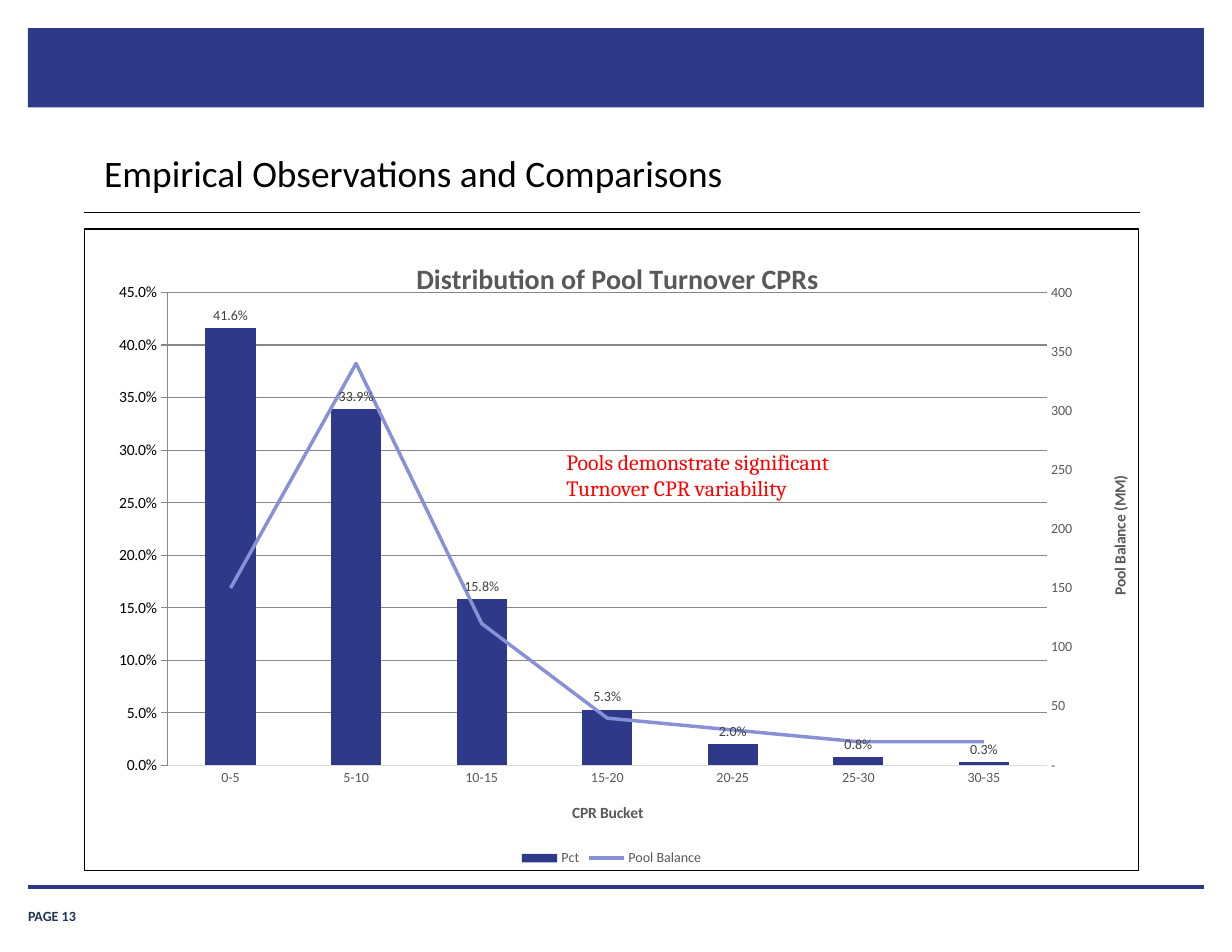
import pptx
import pptx.chart.axis
import pptx.chart.data
import pptx.dml.color
import pptx.enum.chart
import pptx.enum.shapes
import pptx.enum.text
import pptx.oxml
import pptx.oxml.ns
import pptx.util
from lxml import etree

Inches, Pt = pptx.util.Inches, pptx.util.Pt
qn, enums = pptx.oxml.ns.qn, pptx.enum.chart

COLORS = {
    "navy": "2E398A", "rule": "2B3689", "page": "203353", "balance": "8891D5",
    "grey": "595959", "label": "404040", "grid": "D9D9D9",
    "black": "000000", "white": "FFFFFF", "red": "FF0000",
}
BUCKETS = ["0-5", "5-10", "10-15", "15-20", "20-25", "25-30", "30-35"]
PERCENT = [0.416, 0.339, 0.158, 0.053, 0.02, 0.008, 0.003]
BALANCE = [150, 340, 120, 40, 30, 20, 20]
PLOT_AREA = {"x": 0.079, "y": 0.099, "w": 0.834, "h": 0.737}

# text, left, top, width, height, insets (x, y), size, font, colour, bold, anchor
TEXTS = [
    ("PAGE 13", 0.25, 8.02, 0.91, 0.23, (0, 0), 9, "Calibri", "page", True, "BOTTOM"),
    ("Empirical Observations and Comparisons", 0.82, 1.28, 9.35, 0.48,
     (0.11, 0.06), 24, "Calibri", "black", False, "TOP"),
    ("Pools demonstrate significant Turnover CPR variability", 4.4, 3.96, 3.24, 0.57,
     (0.1, 0.05), 14, "Cambria", "red", False, "TOP"),
]
# left, right, y, colour, weight
RULES = [(0.25, 10.75, 7.92, "rule", 2), (0.75, 10.18, 1.9, "black", 0.75)]

NS = ('xmlns:c="http://schemas.openxmlformats.org/drawingml/2006/chart" '
      'xmlns:a="http://schemas.openxmlformats.org/drawingml/2006/main"')
LINE_PLOT = f"""<c:lineChart {NS}><c:grouping val="standard"/><c:varyColors val="0"/>
<c:marker val="1"/><c:axId val="5003"/><c:axId val="5004"/></c:lineChart>"""
RIGHT_AXIS = f"""<c:valAx {NS}><c:axId val="5004"/>
<c:scaling><c:orientation val="minMax"/></c:scaling><c:delete val="0"/>
<c:axPos val="r"/><c:majorTickMark val="none"/><c:minorTickMark val="none"/>
<c:tickLblPos val="nextTo"/><c:crossAx val="5003"/><c:crosses val="max"/></c:valAx>"""
HIDDEN_AXIS = f"""<c:catAx {NS}><c:axId val="5003"/>
<c:scaling><c:orientation val="minMax"/></c:scaling><c:delete val="1"/>
<c:axPos val="b"/><c:crossAx val="5004"/><c:crosses val="autoZero"/></c:catAx>"""
FRAME = f"""<c:spPr {NS}><a:solidFill><a:srgbClr val="{COLORS['white']}"/></a:solidFill>
<a:ln w="{Pt(0.75)}"><a:solidFill><a:srgbClr val="{COLORS['black']}"/></a:solidFill></a:ln>
</c:spPr>"""


def rgb(name):
    return pptx.dml.color.RGBColor.from_string(COLORS[name])


def set_font(font, size, color, bold=False, face="Calibri"):
    font.size, font.bold, font.name = Pt(size), bold, face
    font.color.rgb = rgb(color)


def set_line(line, color, weight):
    line.color.rgb = rgb(color)
    line.width = Pt(weight)


def add_text(page, text, left, top, width, height, insets, size, face, color, bold, anchor):
    box = page.shapes.add_textbox(Inches(left), Inches(top), Inches(width), Inches(height))
    frame = box.text_frame
    frame.word_wrap = True
    frame.vertical_anchor = getattr(pptx.enum.text.MSO_ANCHOR, anchor)
    frame.margin_left = frame.margin_right = Inches(insets[0])
    frame.margin_top = frame.margin_bottom = Inches(insets[1])
    frame.text = text
    set_font(frame.paragraphs[0].runs[0].font, size, color, bold, face)
    return box


def add_rule(page, left, right, y, color, weight):
    rule = page.shapes.add_connector(
        pptx.enum.shapes.MSO_CONNECTOR.STRAIGHT, Inches(left), Inches(y), Inches(right), Inches(y))
    set_line(rule.line, color, weight)
    etree.SubElement(rule.element.spPr, qn("a:effectLst"))


def manual_layout(**places):
    """Layout element with edge positions and optional size, as fractions of the chart."""
    layout = etree.Element(qn("c:layout"))
    manual = etree.SubElement(layout, qn("c:manualLayout"))
    if "w" in places:
        etree.SubElement(manual, qn("c:layoutTarget")).set("val", "inner")
    for key in ("x", "y"):
        etree.SubElement(manual, qn(f"c:{key}Mode")).set("val", "edge")
    for key, value in places.items():
        etree.SubElement(manual, qn(f"c:{key}")).set("val", str(value))
    return layout


def write_title(title, text, size, x, y, turned=False):
    title.text_frame.text = text
    set_font(title.text_frame.paragraphs[0].runs[0].font, size, "grey", True)
    element = title.element
    for old in element.findall(qn("c:layout")):
        element.remove(old)
    element.find(qn("c:tx")).addnext(manual_layout(x=x, y=y))
    if turned:
        body = next(element.iter(qn("a:bodyPr")))
        body.set("rot", "-5400000")
        body.set("vert", "horz")


def style_axis(axis, text, x, y, turned):
    axis.major_tick_mark = axis.minor_tick_mark = enums.XL_TICK_MARK.NONE
    set_font(axis.tick_labels.font, 9, "grey")
    write_title(axis.axis_title, text, 10, x, y, turned)


def scale_axis(axis, top, step, number_format):
    axis.minimum_scale, axis.maximum_scale, axis.major_unit = 0, top, step
    axis.tick_labels.number_format = number_format
    axis.tick_labels.number_format_is_linked = False
    axis.format.line.fill.background()


def move_balance_to_right_axis(area):
    """Turn the second column series into a line and return its new value axis."""
    bars = area.find(qn("c:barChart"))
    series = bars.findall(qn("c:ser"))[1]
    for element in series.findall(qn("c:invertIfNegative")):
        series.remove(element)
    line_plot = pptx.oxml.parse_xml(LINE_PLOT)
    bars.addnext(line_plot)
    line_plot.find(qn("c:varyColors")).addnext(series)
    right = pptx.oxml.parse_xml(RIGHT_AXIS)
    area.find(qn("c:valAx")).addnext(right)
    right.addnext(pptx.oxml.parse_xml(HIDDEN_AXIS))
    return pptx.chart.axis.ValueAxis(right)


def add_turnover_chart(page):
    data = pptx.chart.data.CategoryChartData()
    data.categories = BUCKETS
    data.add_series("Pct", PERCENT, "0.0%")
    data.add_series("Pool Balance", BALANCE, "0")
    chart = page.shapes.add_chart(
        enums.XL_CHART_TYPE.COLUMN_CLUSTERED,
        Inches(0.75), Inches(2.04), Inches(9.42), Inches(5.74), data).chart
    set_font(chart.font, 10, "black")
    chart.element.find(qn("c:chart")).addnext(pptx.oxml.parse_xml(FRAME))
    area = next(chart.element.iter(qn("c:plotArea")))
    for old in area.findall(qn("c:layout")):
        area.remove(old)
    area.insert(0, manual_layout(**PLOT_AREA))
    right_axis = move_balance_to_right_axis(area)

    chart.has_title = True
    write_title(chart.chart_title, "Distribution of Pool Turnover CPRs", 18, 0.31, 0.04)
    style_axis(chart.category_axis, "CPR Bucket", 0.46, 0.89, False)
    set_line(chart.category_axis.format.line, "grid", 0.75)
    style_axis(chart.value_axis, "Percent of Total", 0.01, 0.4, True)
    scale_axis(chart.value_axis, 0.45, 0.05, "0%")
    set_line(chart.value_axis.major_gridlines.format.line, "grid", 0.75)
    style_axis(right_axis, "Pool Balance (MM)", 0.97, 0.38, True)
    scale_axis(right_axis, 400, 50, '#,##0;-#,##0;"-"')

    chart.has_legend = True
    chart.legend.position = enums.XL_LEGEND_POSITION.BOTTOM
    chart.legend.include_in_layout = False
    set_font(chart.legend.font, 9, "grey")

    columns, lines = chart.plots
    columns.gap_width, columns.overlap, columns.vary_by_categories = 150, -27, False
    percent, balance = columns.series[0], lines.series[0]
    percent.format.fill.solid()
    percent.format.fill.fore_color.rgb = rgb("navy")
    labels = percent.data_labels
    labels.show_value = True
    labels.position = enums.XL_LABEL_POSITION.OUTSIDE_END
    labels.number_format, labels.number_format_is_linked = "0.0%", False
    set_font(labels.font, 9, "label")
    balance.smooth = False
    balance.marker.style = enums.XL_MARKER_STYLE.NONE
    set_line(balance.format.line, "balance", 2.25)


def main():
    deck = pptx.Presentation()
    deck.slide_width, deck.slide_height = Inches(11), Inches(8.5)
    page = deck.slides.add_slide(deck.slide_layouts[6])
    banner = page.shapes.add_shape(
        pptx.enum.shapes.MSO_SHAPE.RECTANGLE, Inches(0.25), Inches(0.25), Inches(10.5), Inches(0.71))
    banner.shadow.inherit = False
    banner.fill.solid()
    banner.fill.fore_color.rgb = rgb("navy")
    banner.line.fill.background()
    add_turnover_chart(page)
    for rule in RULES:
        add_rule(page, *rule)
    boxes = [add_text(page, *text) for text in TEXTS]
    remark = boxes[-1].text_frame.paragraphs[0]
    remark.level = 1
    indent = remark._p.get_or_add_pPr()
    indent.set("marL", str(Inches(0.56)))
    indent.set("indent", "0")
    deck.save("out.pptx")


if __name__ == "__main__":
    main()
